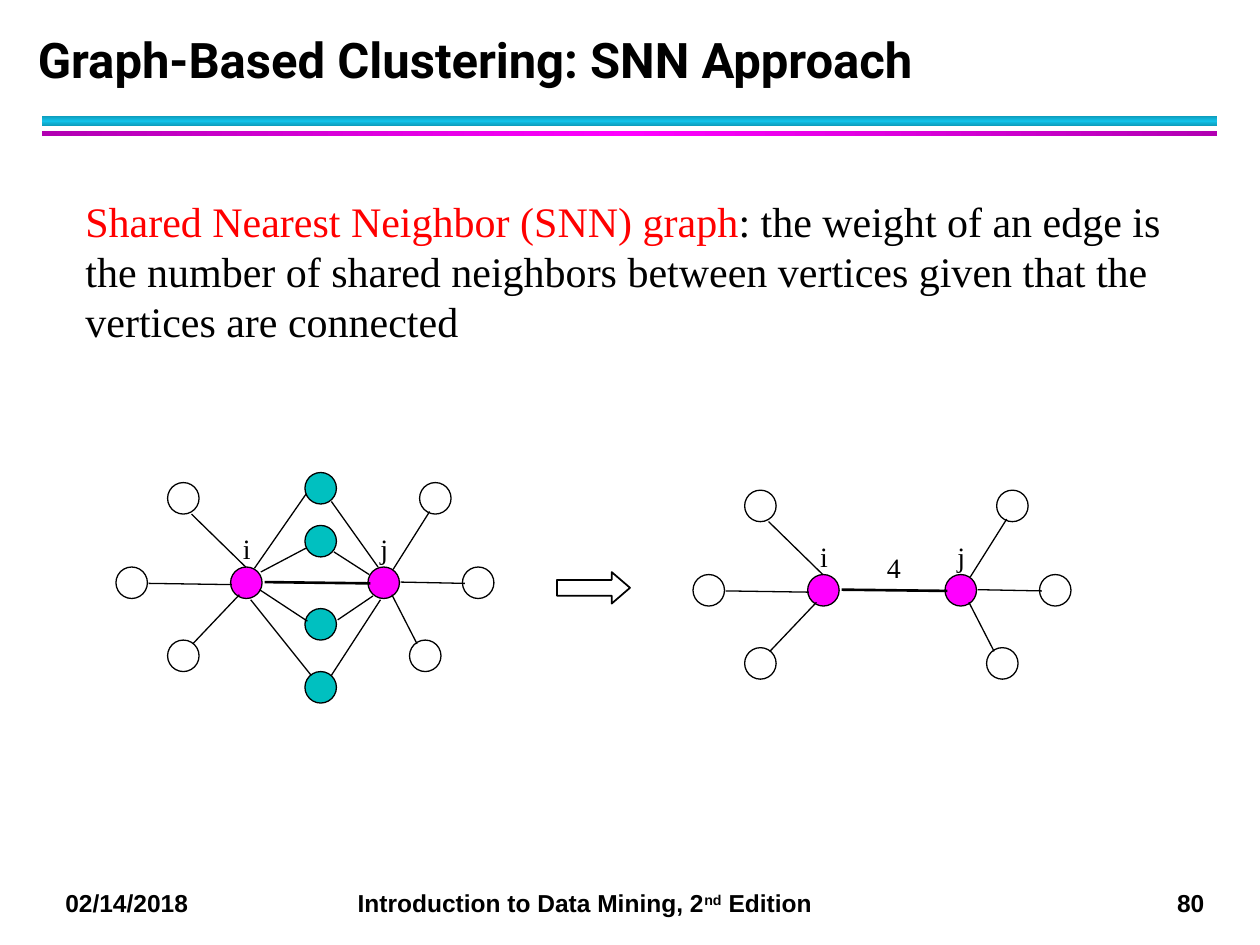
from copy import deepcopy
from dataclasses import dataclass

from lxml import etree
from pptx import Presentation
from pptx.dml.color import RGBColor
from pptx.enum.shapes import MSO_CONNECTOR, MSO_SHAPE
from pptx.enum.text import MSO_ANCHOR, MSO_AUTO_SIZE, PP_ALIGN
from pptx.oxml.ns import qn
from pptx.util import Inches, Pt


@dataclass(frozen=True)
class Theme:
    black: str = "000000"
    red: str = "FF0000"
    magenta: str = "FF00FF"
    dark_magenta: str = "B200B2"
    cyan: str = "12C2E9"
    dark_cyan: str = "0E9BBA"
    teal: str = "00C0C0"
    heading_font: str = "Roboto"
    body_font: str = "Times New Roman"
    footer_font: str = "Arial"
    title_size: int = 28
    body_size: int = 24
    label_size: int = 16
    footer_size: int = 14
    thin: float = 0.75
    thick: float = 1.5


THEME = Theme()
NODE_SIZE = 0.25


@dataclass(frozen=True)
class Node:
    left: float
    top: float
    fill: str | None = None


@dataclass(frozen=True)
class Edge:
    x1: float
    y1: float
    x2: float
    y2: float
    width: float = THEME.thin


@dataclass(frozen=True)
class Label:
    text: str
    left: float
    top: float


@dataclass(frozen=True)
class Graph:
    nodes: list[Node]
    edges: list[Edge]
    labels: list[Label]
    dx: float = 0
    dy: float = 0


BASE_NODES = [
    Node(1.83, 4.5, THEME.magenta),
    Node(2.92, 4.5, THEME.magenta),
    Node(1.33, 5.08),
    Node(0.92, 4.5),
    Node(1.33, 3.83),
    Node(3.33, 3.83),
    Node(3.25, 5.08),
    Node(3.67, 4.5),
]
BASE_EDGES = [
    Edge(1.53, 5.11, 1.9, 4.72),
    Edge(1.18, 4.63, 1.84, 4.64),
    Edge(1.52, 4.08, 1.95, 4.5),
    Edge(2.1, 4.62, 2.94, 4.63, THEME.thick),
    Edge(3.18, 4.62, 3.69, 4.63),
    Edge(3.31, 5.11, 3.11, 4.72),
    Edge(3.12, 4.52, 3.41, 4.06),
]
BASE_LABELS = [Label("i", 1.83, 4.17), Label("j", 2.92, 4.17)]

SHARED_NODES = [Node(2.42, top, THEME.teal) for top in (3.75, 4.17, 4.83, 5.33)]
SHARED_EDGES = [
    Edge(2.07, 4.54, 2.43, 4.35),
    Edge(2.06, 4.68, 2.44, 4.93),
    Edge(2.47, 5.36, 1.99, 4.76),
    Edge(2.02, 4.51, 2.43, 3.92),
    Edge(2.68, 4.92, 2.96, 4.73),
    Edge(2.63, 5.36, 3.02, 4.76),
    Edge(2.93, 4.56, 2.65, 4.38),
    Edge(3, 4.5, 2.63, 3.98),
]

GRAPHS = [
    Graph(BASE_NODES + SHARED_NODES, BASE_EDGES + SHARED_EDGES, BASE_LABELS),
    Graph(BASE_NODES, BASE_EDGES, BASE_LABELS + [Label("4", 2.36, 4.26)], 4.58, 0.06),
]


def add_run(para, text: str, font: str, size: int, color: str = THEME.black, bold: bool = False):
    run = para.add_run()
    run.text = text
    run.font.name = font
    run.font.size = Pt(size)
    run.font.bold = bold
    run.font.color.rgb = RGBColor.from_string(color)
    return run


def add_text_box(shapes, left: float, top: float, width: float, height: float):
    """Add a wrapping text box and return its first paragraph."""
    box = shapes.add_textbox(Inches(left), Inches(top), Inches(width), Inches(height))
    box.text_frame.word_wrap = True
    return box.text_frame.paragraphs[0]


def add_shape(shapes, kind, left: float, top: float, width: float, height: float):
    shape = shapes.add_shape(kind, Inches(left), Inches(top), Inches(width), Inches(height))
    shape.shadow.inherit = False
    return shape


def outline(shape, width: float) -> None:
    shape.line.color.rgb = RGBColor.from_string(THEME.black)
    shape.line.width = Pt(width)


def add_bar(shapes, top: float, height: float, edge: str, middle: str, angle: int) -> None:
    """Add a full-width rule whose gradient runs edge, middle, edge."""
    bar = add_shape(shapes, MSO_SHAPE.RECTANGLE, 0.33, top, 9.33, height)
    bar.line.fill.background()
    bar.fill.gradient()
    bar.fill.gradient_angle = angle
    stop_list = bar._element.spPr.find(qn("a:gradFill")).find(qn("a:gsLst"))
    stop_list.append(deepcopy(stop_list[-1]))
    for stop, position, color in zip(bar.fill.gradient_stops, (0, 0.5, 1), (edge, middle, edge)):
        stop.position = position
        stop.color.rgb = RGBColor.from_string(color)


def add_graph(slide, graph: Graph) -> None:
    shapes = slide.shapes.add_group_shape().shapes
    for node in graph.nodes:
        circle = add_shape(shapes, MSO_SHAPE.OVAL, node.left + graph.dx, node.top + graph.dy,
                           NODE_SIZE, NODE_SIZE)
        outline(circle, THEME.thin)
        if node.fill:
            circle.fill.solid()
            circle.fill.fore_color.rgb = RGBColor.from_string(node.fill)
        else:
            circle.fill.background()
    for label in graph.labels:
        para = add_text_box(shapes, label.left + graph.dx, label.top + graph.dy, 0.35, 0.37)
        add_run(para, label.text, THEME.body_font, THEME.label_size)
    for edge in graph.edges:
        line = shapes.add_connector(
            MSO_CONNECTOR.STRAIGHT,
            Inches(edge.x1 + graph.dx), Inches(edge.y1 + graph.dy),
            Inches(edge.x2 + graph.dx), Inches(edge.y2 + graph.dy))
        outline(line, edge.width)
        etree.SubElement(line._element.spPr, qn("a:effectLst"))


def add_title(slide) -> None:
    title = slide.shapes.title
    title.left, title.top = Inches(0.2), Inches(0.17)
    title.width, title.height = Inches(9.45), Inches(0.58)
    frame = title.text_frame
    frame.vertical_anchor = MSO_ANCHOR.BOTTOM
    frame.auto_size = MSO_AUTO_SIZE.NONE
    para = frame.paragraphs[0]
    para.alignment = PP_ALIGN.LEFT
    para.line_spacing = Pt(36)
    add_run(para, "Graph-Based Clustering: SNN Approach",
            THEME.heading_font, THEME.title_size, bold=True)


def add_footer(slide) -> None:
    para = add_text_box(slide.shapes, 0.42, 7, 9.33, 0.34)
    tabs = etree.SubElement(para._p.get_or_add_pPr(), qn("a:tabLst"))
    for position, align in ((2.32, "l"), (9.04, "r")):
        etree.SubElement(tabs, qn("a:tab"), pos=str(Inches(position)), algn=align)
    style = (THEME.footer_font, THEME.footer_size, THEME.black, True)
    add_run(para, "02/14/2018\tIntroduction to Data Mining, 2", *style)
    ordinal = add_run(para, "nd", *style)
    ordinal._r.get_or_add_rPr().set("baseline", "30000")
    add_run(para, " Edition\t80", *style)


def main() -> None:
    deck = Presentation()
    deck.slide_width, deck.slide_height = Inches(10), Inches(7.5)
    slide = deck.slides.add_slide(deck.slide_layouts.get_by_name("Title Only"))

    add_bar(slide.shapes, 0.92, 0.08, THEME.dark_cyan, THEME.cyan, 90)
    add_bar(slide.shapes, 1.04, 0.04, THEME.dark_magenta, THEME.magenta, 0)
    add_footer(slide)
    for graph in GRAPHS:
        add_graph(slide, graph)

    para = add_text_box(slide.shapes, 0.58, 1.5, 8.83, 1.3)
    add_run(para, "Shared Nearest Neighbor (SNN) graph", THEME.body_font, THEME.body_size, THEME.red)
    add_run(para, ": the weight of an edge is the number of shared neighbors between vertices "
            "given that the vertices are connected", THEME.body_font, THEME.body_size)
    add_title(slide)

    arrow = add_shape(slide.shapes, MSO_SHAPE.RIGHT_ARROW, 4.42, 4.54, 0.58, 0.25)
    arrow.adjustments[0], arrow.adjustments[1] = 0.5, 0.58
    arrow.fill.background()
    outline(arrow, 1)
    deck.save("out.pptx")


if __name__ == "__main__":
    main()
